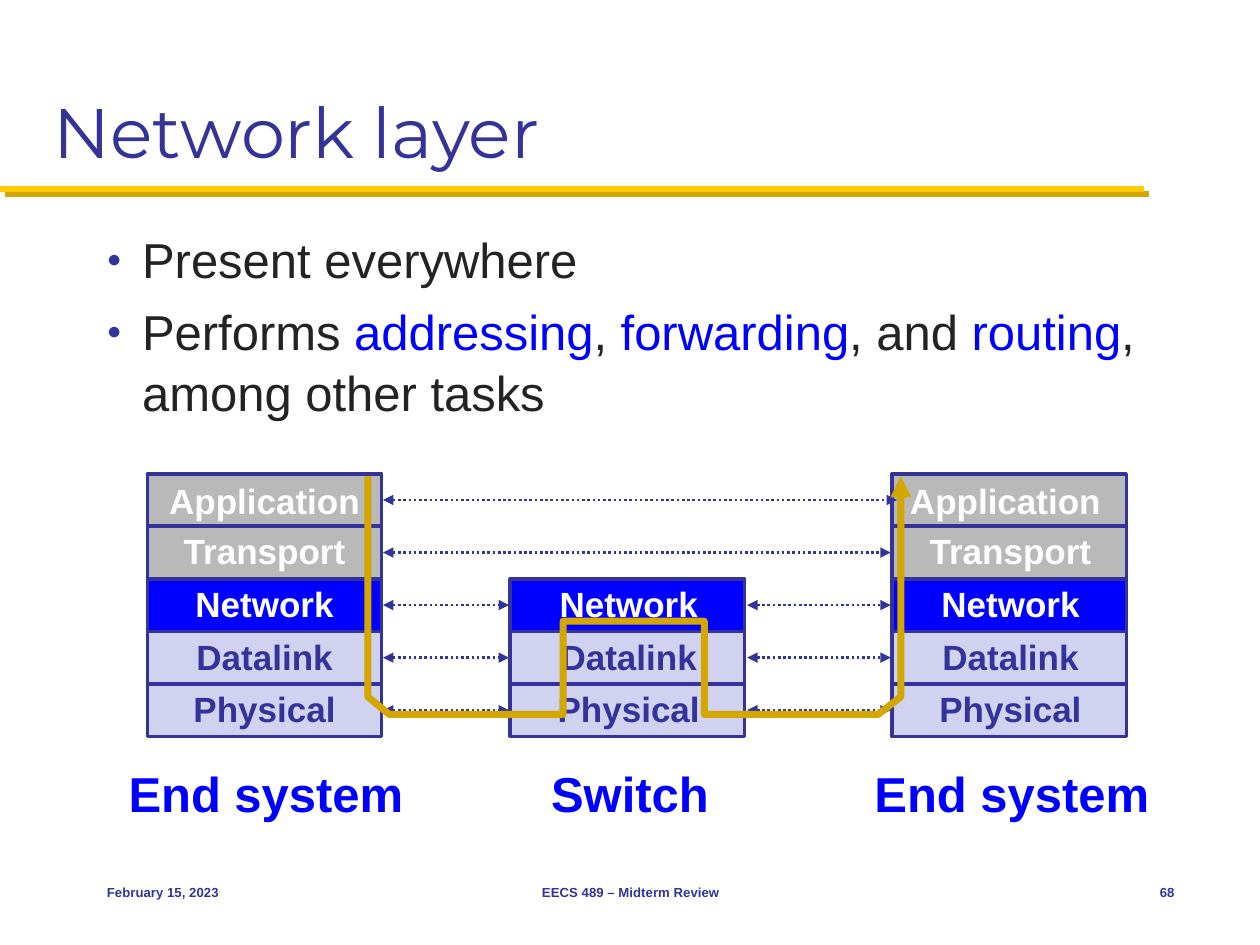
import pptx
import pptx.dml.color
import pptx.enum.dml
import pptx.enum.shapes
import pptx.enum.text
import pptx.oxml
import pptx.oxml.ns
import pptx.util

Inches = pptx.util.Inches
Pt = pptx.util.Pt
ALIGN = pptx.enum.text.PP_ALIGN
ANCHOR = pptx.enum.text.MSO_ANCHOR

COLORS = {"navy": "333399", "gold": "FFCB05", "dark_gold": "D3A600", "ink": "232323",
          "blue": "0000FF", "gray": "B9B9B9", "lavender": "D1D1F0", "white": "FFFFFF"}

TITLE = "Network layer"
BULLETS = [
    [("Present everywhere", "ink")],
    [("Performs ", "ink"), ("addressing", "blue"), (", ", "ink"), ("forwarding", "blue"),
     (", and ", "ink"), ("routing", "blue"), (", among other tasks", "ink")],
]
FOOTER = [  # text, left, width, alignment
    ("February 15, 2023", 0.75, 2.08, ALIGN.LEFT),
    ("EECS 489 – Midterm Review", 3.42, 3.17, ALIGN.CENTER),
    ("68", 8.75, 0.67, ALIGN.RIGHT),
]
LAYERS = [  # name, fill, text colour, label width, label shift down
    ("Application", "gray", "white", 1.73, 0),
    ("Transport", "gray", "white", 1.5, -0.02),
    ("Network", "blue", "white", 1.31, -0.02),
    ("Datalink", "lavender", "navy", 1.29, -0.02),
    ("Physical", "lavender", "navy", 1.34, -0.02),
]
STACKS = [  # name, left, first layer, label centre, caption width
    ("End system", 1.17, 0, 2.1, 2.41),
    ("Switch", 4.05, 2, 4.99, 1.47),
    ("End system", 7.08, 0, 8.02, 2.41),
]
STACK_TOP, BOX_WIDTH, ROW_HEIGHT = 3.76, 1.86, 0.417
GAPS = {"hosts": (3.04, 7.07), "left": (3.04, 4.04), "right": (5.93, 7.07)}
PACKET_ROUTE = [(2.92, 3.78), (2.92, 5.53), (3.09, 5.67), (4.47, 5.67), (4.47, 4.93),
                (5.59, 4.93), (5.59, 5.67), (6.97, 5.67), (7.15, 5.53), (7.15, 3.78)]


def rgb(name):
    return pptx.dml.color.RGBColor.from_string(COLORS[name])


def append_xml(parent, tag, attributes="", inner=""):
    namespace = pptx.oxml.ns.nsdecls("a")
    parent.append(pptx.oxml.parse_xml(f"<a:{tag} {namespace} {attributes}>{inner}</a:{tag}>"))


def add_run(paragraph, text, size, color, font="Arial", bold=False):
    run = paragraph.add_run()
    run.text = text
    run.font.name = font
    run.font.size = Pt(size)
    run.font.bold = bold
    run.font.color.rgb = rgb(color)


def add_frame(slide, left, top, width, height, anchor=ANCHOR.TOP, wrap=True):
    box = slide.shapes.add_textbox(Inches(left), Inches(top), Inches(width), Inches(height))
    box.text_frame.word_wrap = wrap
    box.text_frame.vertical_anchor = anchor
    return box.text_frame


def add_label(slide, text, center, top, width, height, size, color):
    frame = add_frame(slide, center - width / 2, top, width, height, wrap=False)
    frame.paragraphs[0].alignment = ALIGN.CENTER
    add_run(frame.paragraphs[0], text, size, color, bold=True)


def add_line(slide, start, end, color, width):
    line = slide.shapes.add_connector(pptx.enum.shapes.MSO_CONNECTOR.STRAIGHT,
                                      *map(Inches, start + end))
    line.line.color.rgb = rgb(color)
    line.line.width = Pt(width)
    return line


def add_peer_arrow(slide, start, end):
    """Dotted line with a triangle at both ends."""
    arrow = add_line(slide, start, end, "navy", 1.5)
    arrow.line.dash_style = pptx.enum.dml.MSO_LINE.ROUND_DOT
    for tag in ("headEnd", "tailEnd"):
        append_xml(arrow.line._ln, tag, 'type="triangle"')
    append_xml(arrow._element.spPr, "effectLst")


def add_heading(slide):
    rule = add_line(slide, (0, 1.5), (9.08, 1.5), "gold", 3.5)
    shadow = (f'<a:outerShdw dist="{Pt(4.2)}" dir="2700000" algn="ctr" rotWithShape="0">'
              f'<a:srgbClr val="{COLORS["dark_gold"]}"/></a:outerShdw>')
    append_xml(rule._element.spPr, "effectLst", inner=shadow)
    frame = add_frame(slide, 0.33, 0.17, 9.33, 1.25, ANCHOR.BOTTOM)
    add_run(frame.paragraphs[0], TITLE, 40, "navy", "Montserrat")


def add_bullets(slide):
    frame = add_frame(slide, 0.75, 1.75, 8.67, 1.75)
    for index, runs in enumerate(BULLETS):
        paragraph = frame.add_paragraph() if index else frame.paragraphs[0]
        paragraph.line_spacing = 1.05
        paragraph.space_before = Pt(5.6)
        properties = paragraph._p.get_or_add_pPr()
        properties.set("marL", str(Inches(0.28)))
        properties.set("indent", str(Inches(-0.28)))
        append_xml(properties, "buClr", inner=f'<a:srgbClr val="{COLORS["navy"]}"/>')
        append_xml(properties, "buSzPct", 'val="50000"')
        append_xml(properties, "buFont", 'typeface="Arial"')
        append_xml(properties, "buChar", 'char="●"')
        for text, color in runs:
            add_run(paragraph, text, 28, color)


def add_stack(slide, name, left, first_layer, center, caption_width):
    for row, (layer, fill, color, width, shift) in enumerate(LAYERS):
        if row < first_layer:
            continue
        top = STACK_TOP + row * ROW_HEIGHT
        box = slide.shapes.add_shape(pptx.enum.shapes.MSO_SHAPE.RECTANGLE, Inches(left),
                                     Inches(top), Inches(BOX_WIDTH), Inches(ROW_HEIGHT))
        box.shadow.inherit = False
        box.fill.solid()
        box.fill.fore_color.rgb = rgb(fill)
        box.line.color.rgb = rgb("navy")
        box.line.width = Pt(2)
        label_center = 7.98 if layer == "Application" and left > 5 else center
        add_label(slide, layer, label_center, top + shift, width, 0.44, 20, color)
    add_label(slide, name, center + 0.01, 6.01, caption_width, 0.57, 28, "blue")


def add_packet_route(slide):
    points = [(Inches(x), Inches(y)) for x, y in PACKET_ROUTE]
    builder = slide.shapes.build_freeform(*points[0])
    builder.add_line_segments(points[1:], close=False)
    route = builder.convert_to_shape()
    route.shadow.inherit = False
    route.fill.background()
    route.line.color.rgb = rgb("dark_gold")
    route.line.width = Pt(4)
    append_xml(route.line._ln, "tailEnd", 'type="triangle"')


def main():
    presentation = pptx.Presentation()
    presentation.slide_width, presentation.slide_height = Inches(10), Inches(7.5)
    slide = presentation.slides.add_slide(presentation.slide_layouts[6])
    add_heading(slide)
    add_bullets(slide)
    for text, left, width, alignment in FOOTER:
        frame = add_frame(slide, left, 6.83, width, 0.5, ANCHOR.MIDDLE)
        frame.paragraphs[0].alignment = alignment
        add_run(frame.paragraphs[0], text, 7.5, "navy", bold=True)
    for stack in STACKS:
        add_stack(slide, *stack)
    for row in range(len(LAYERS)):
        middle = STACK_TOP + (row + 0.5) * ROW_HEIGHT
        for gap in (("hosts",) if row < 2 else ("left", "right")):
            start, end = GAPS[gap]
            if row == 0:
                end = 7.12
            add_peer_arrow(slide, (start, middle), (end, middle))
    add_packet_route(slide)
    presentation.save("out.pptx")


if __name__ == "__main__":
    main()
